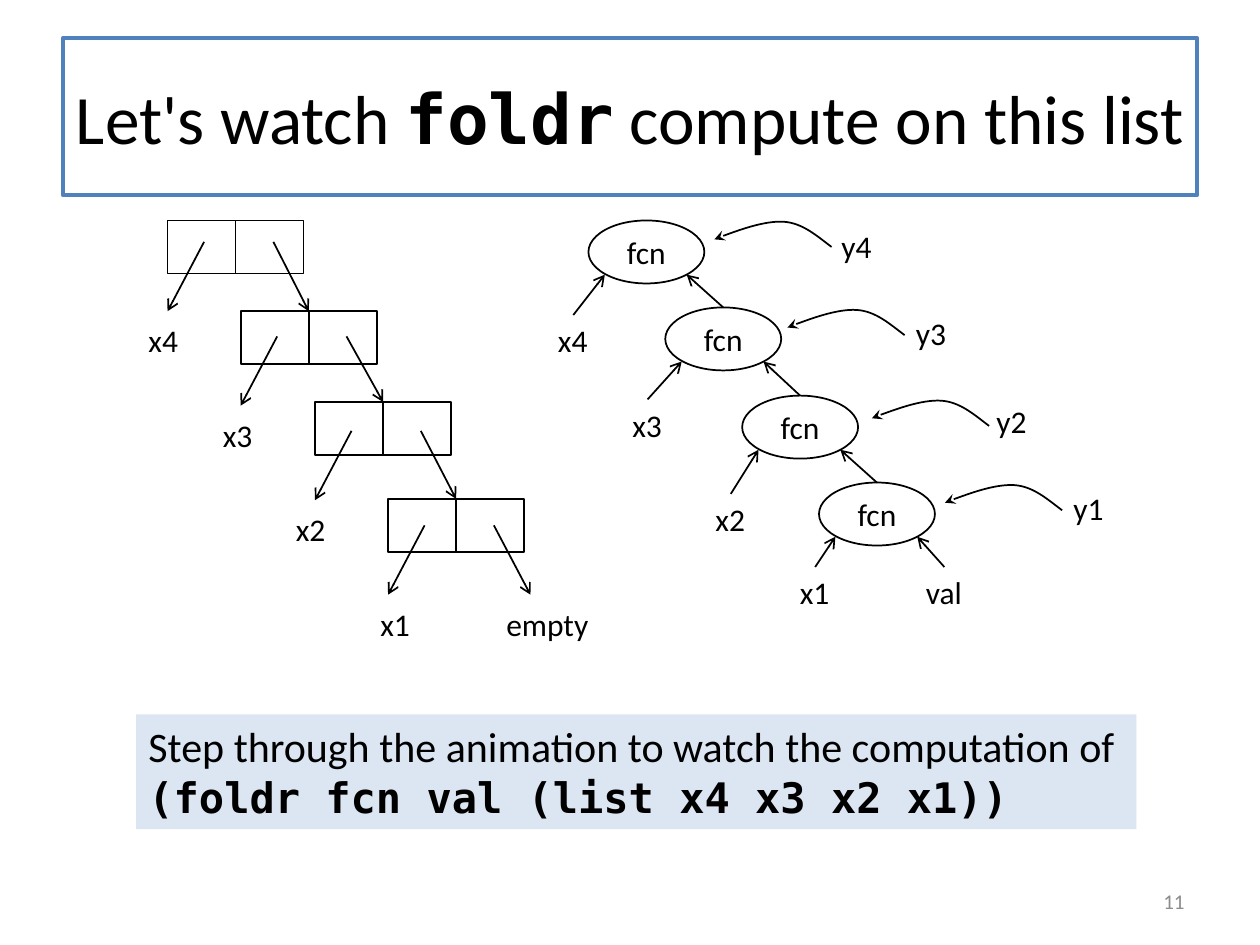
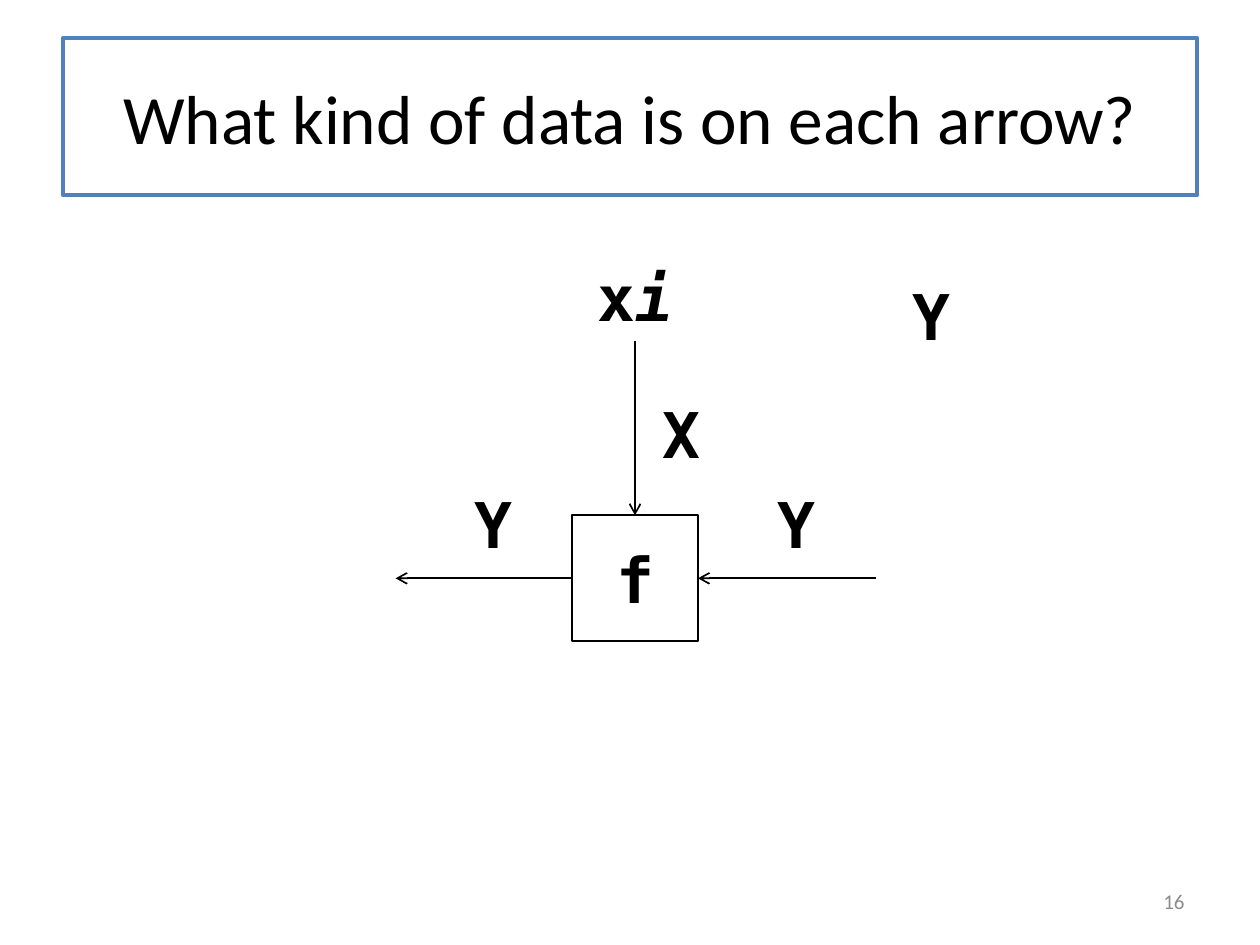
"""Two slides on folding a function over a list."""
import lxml.etree
import pptx
import pptx.dml.color
import pptx.enum.shapes
import pptx.enum.text
import pptx.oxml
import pptx.oxml.ns
import pptx.util

SCALE = 9144
BLACK, WHITE, GREY = "000000", "FFFFFF", "8C8C8C"
BLUE, PALE_BLUE = "4F81BD", "DCE6F2"
BODY, CODE = "Calibri", "DejaVu Sans Mono"
CODE_SPAN = {"name": CODE, "bold": True}
SHAPES = pptx.enum.shapes.MSO_SHAPE
ALIGN = pptx.enum.text.PP_ALIGN
ANCHOR = pptx.enum.text.MSO_ANCHOR
FIT = pptx.enum.text.MSO_AUTO_SIZE
TOP, LEFT, BOTTOM, RIGHT = range(4)
CELL_WIDTH, CELL_HEIGHT = 108, 42
NODE_WIDTH, NODE_HEIGHT = 92, 50
SWOOP = [(-12, -9), (-23, -19), (-38, -20), (-54, -21), (-91, -7), (-91, -7), (-93, -6)]


def px(*lengths):
    """Turn px lengths into EMU."""
    return [pptx.util.Emu(length * SCALE) for length in lengths]


def color(value):
    """Turn a hex string into a colour."""
    return pptx.dml.color.RGBColor.from_string(value)


def outline(item, value=BLACK, width=1):
    """Give a shape or connector a solid line."""
    item.line.color.rgb = color(value)
    item.line.width = pptx.util.Pt(width)


def add_arrowhead(item, kind):
    """Put an arrowhead at the end of a line."""
    line = item.line._get_or_add_ln()
    tail = lxml.etree.SubElement(line, pptx.oxml.ns.qn("a:tailEnd"))
    tail.set("type", kind)


def write(para, text, size, face=BODY, align=ALIGN.LEFT, value=BLACK):
    """Fill a paragraph with a string or with (text, font settings) spans."""
    para.alignment = align
    font = para.font
    font.size, font.name, font.bold = pptx.util.Pt(size), face, face == CODE
    font.color.rgb = color(value)
    for words, settings in [(text, {})] if isinstance(text, str) else text:
        span = para.add_run()
        span.text = words
        for name, setting in settings.items():
            setattr(span.font, name, setting)


def add_page(deck, title, number):
    """Add a slide with the framed title and its number."""
    page = deck.slides.add_slide(deck.slide_layouts[5])
    box = page.shapes.title
    box.left, box.top, box.width, box.height = px(50, 30, 900, 125)
    box.fill.solid()
    box.fill.fore_color.rgb = color(WHITE)
    outline(box, BLUE, 2.25)
    frame = box.text_frame
    frame.auto_size, frame.word_wrap = FIT.NONE, False
    frame.vertical_anchor = ANCHOR.MIDDLE
    write(frame.paragraphs[0], title, 39.6, align=ALIGN.CENTER)
    frame = page.shapes.add_textbox(*px(717, 695, 233, 40)).text_frame
    frame.word_wrap, frame.vertical_anchor = True, ANCHOR.MIDDLE
    write(frame.paragraphs[0], number, 12, align=ALIGN.RIGHT, value=GREY)
    return page


def add_label(page, text, left, top, width=44):
    """Add a small unwrapped label."""
    box = page.shapes.add_textbox(*px(left, top, width, 40))
    box.text_frame.word_wrap = False
    box.text_frame.auto_size = FIT.SHAPE_TO_FIT_TEXT
    write(box.text_frame.paragraphs[0], text, 18)
    return box


def add_code(page, text, left, top, width=74):
    """Add a large centred code label."""
    box = page.shapes.add_textbox(*px(left, top, width, 71))
    box.text_frame.word_wrap = True
    write(box.text_frame.paragraphs[0], text, 36, CODE, ALIGN.CENTER)
    return box


def add_outlined(page, kind, place, text="", size=18, face=BODY):
    """Add an unfilled shape with centred text."""
    box = page.shapes.add_shape(kind, *px(*place))
    box.shadow.inherit = False
    box.fill.background()
    outline(box)
    if text:
        box.text_frame.vertical_anchor = ANCHOR.MIDDLE
        write(box.text_frame.paragraphs[0], text, size, face, ALIGN.CENTER)
    return box


def add_line(page, start, end, arrow=True):
    """Join two ends, each a point or a (shape, side) pair."""
    points = [(0, 0) if hasattr(stop[0], "shape_id") else stop for stop in (start, end)]
    line = page.shapes.add_connector(
        pptx.enum.shapes.MSO_CONNECTOR.STRAIGHT, *px(*points[0], *points[1]))
    for stop, join in ((start, line.begin_connect), (end, line.end_connect)):
        if hasattr(stop[0], "shape_id"):
            join(*stop)
    outline(line)
    lxml.etree.SubElement(line._element.spPr, pptx.oxml.ns.qn("a:effectLst"))
    if arrow:
        add_arrowhead(line, "arrow")


def add_swoop(page, left, top):
    """Add a curved arrow that starts at a point and runs to the left."""
    builder = page.shapes.build_freeform(left, top, scale=SCALE)
    builder.add_line_segments([(left + x, top + y) for x, y in SWOOP], close=False)
    curve = builder.convert_to_shape()
    curve.shadow.inherit = False
    curve.fill.background()
    outline(curve)
    add_arrowhead(curve, "stealth")
    steps = list(curve._element.iter(pptx.oxml.ns.qn("a:lnTo")))
    for first in (0, 3):
        bend, *others = steps[first:first + 3]
        cubic = pptx.oxml.parse_xml(f'<a:cubicBezTo {pptx.oxml.ns.nsdecls("a")}/>')
        bend.addprevious(cubic)
        for step in (bend, *others):
            cubic.append(step[0])
            step.getparent().remove(step)


def draw_list(page):
    """Draw the linked list of four pairs."""
    tops, label_lefts = (175, 247, 319, 396), (108, 167, 225, 292)
    lefts = [round(133 + 58.33 * row) for row in range(4)]
    cells = [add_outlined(page, SHAPES.RECTANGLE, (left, top, CELL_WIDTH, CELL_HEIGHT))
             for left, top in zip(lefts, tops)]
    for row, (cell, left) in enumerate(zip(cells, lefts)):
        start = 192 + 75 * row
        add_line(page, (cell, TOP), (cell, BOTTOM), arrow=False)
        add_line(page, (left + 29, start), (left, start + 55))
        rest = (cells[row + 1], TOP) if row < 3 else (left + 113, start + 55)
        add_line(page, (left + 84, start), rest)
        add_label(page, f"x{4 - row}", label_lefts[row], 250 + 75 * row)
    add_label(page, "empty", 392, 475, 86)


def draw_calls(page):
    """Draw the chain of calls, with their inputs and results."""
    inputs = [(433, 250), (492, 317), (558, 392), (625, 450)]
    results = [(658, 660, 196), (717, 718, 266), (781, 785, 338), (842, 843, 405)]
    spots = [(467 + 61 * row, round(175 + 69.33 * row)) for row in range(4)]
    nodes = [add_outlined(page, SHAPES.OVAL, (*spot, NODE_WIDTH, NODE_HEIGHT), "fcn")
             for spot in spots]
    sources = nodes[1:] + [add_label(page, "val", 725, 450, 49)]
    for row, (left, top) in enumerate(spots):
        item = add_label(page, f"x{4 - row}", *inputs[row])
        add_line(page, (item, TOP), (left + 13, top + 43))
        add_line(page, (sources[row], TOP), (left + 78, top + 43))
        label_left, *curve_start = results[row]
        add_label(page, f"y{4 - row}", label_left, top)
        add_swoop(page, *curve_start)


def add_banner(page):
    """Add the shaded instruction."""
    box = page.shapes.add_textbox(*px(108, 567, 794, 91))
    box.fill.solid()
    box.fill.fore_color.rgb = color(PALE_BLUE)
    frame = box.text_frame
    frame.word_wrap, frame.auto_size = False, FIT.SHAPE_TO_FIT_TEXT
    write(frame.paragraphs[0], "Step through the animation to watch the computation of", 24)
    write(frame.add_paragraph(), "(foldr fcn val (list x4 x3 x2 x1))", 24, CODE)


def draw_data_flow(page):
    """Draw one function step with the data on each arrow."""
    item = add_code(page, [("x", {}), ("i", {"italic": True})], 433, 200, 142)
    item.text_frame.vertical_anchor = ANCHOR.MIDDLE
    step = add_outlined(page, SHAPES.RECTANGLE, (454, 409, 100, 100), "f", 36, CODE)
    add_line(page, (item, BOTTOM), (step, TOP))
    add_line(page, (step, LEFT), (314, 459))
    add_line(page, (695, 459), (step, RIGHT))
    for text, left, top in (("X", 504, 309), ("Y", 355, 380), ("Y", 595, 380), ("Y", 702, 215)):
        add_code(page, text, left, top)


def main():
    """Build and save the deck."""
    deck = pptx.Presentation()
    deck.slide_width, deck.slide_height = px(1000, 750)
    title = [("Let's watch ", {}), ("foldr", CODE_SPAN), (" compute on this list", {})]
    page = add_page(deck, title, "11")
    draw_list(page)
    draw_calls(page)
    add_banner(page)
    draw_data_flow(add_page(deck, "What kind of data is on each arrow?", "16"))
    deck.save("out.pptx")


if __name__ == "__main__":
    main()
